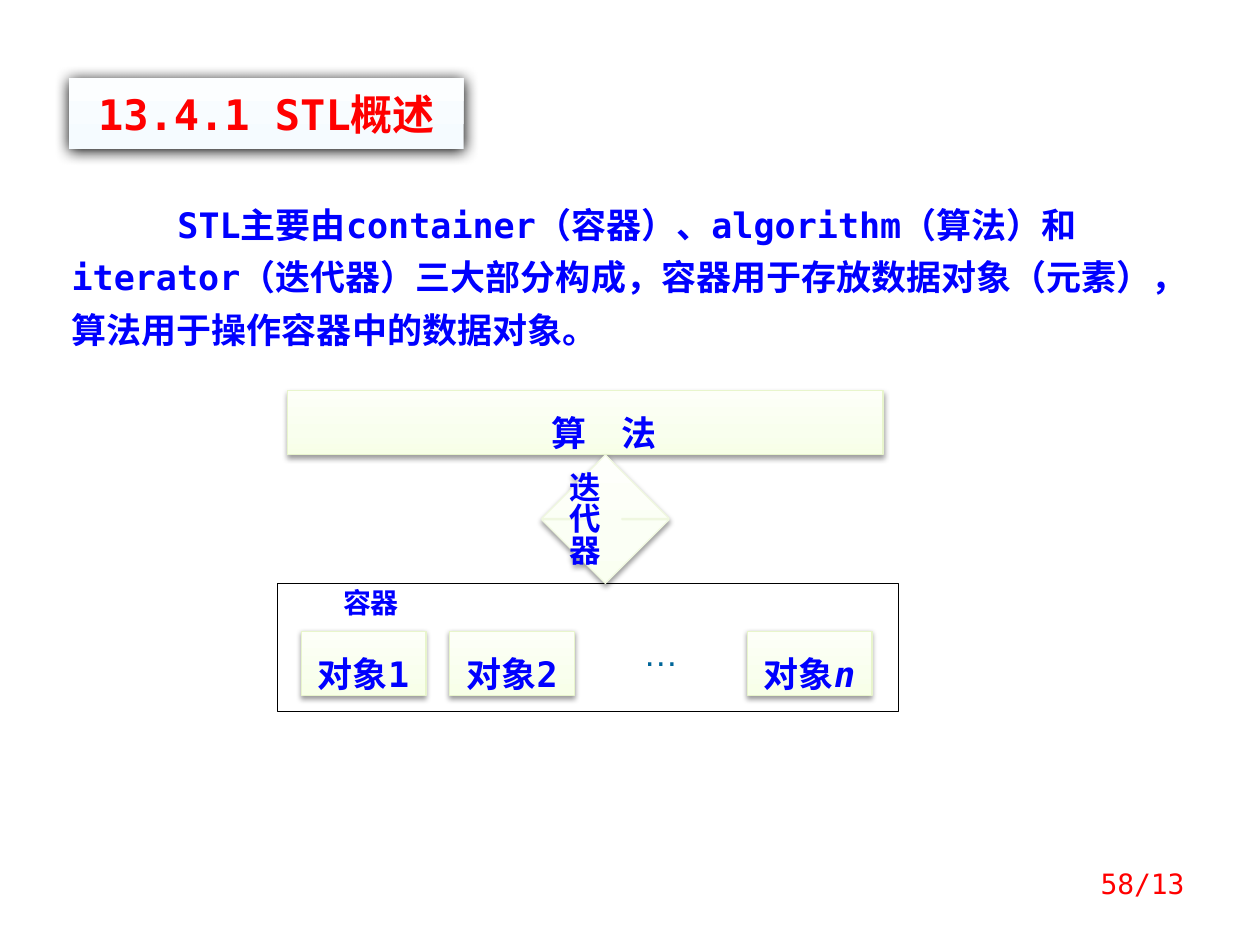
import copy

import pptx
import pptx.dml.color
import pptx.enum.shapes
import pptx.enum.text
import pptx.oxml
import pptx.oxml.ns
import pptx.util
from pptx.util import Inches

SHAPE = pptx.enum.shapes.MSO_SHAPE
ALIGN = pptx.enum.text.PP_ALIGN
MONO = "DejaVu Sans Mono"
RED, BLUE, TEAL, WHITE, BLACK = "FF0000", "0000FF", "006699", "FFFFFF", "000000"
TITLE_TINTS = ("F5FBFF", "F8FCFF", "FCFEFF")
BOX_TINTS = ("F7FFE7", "F9FFEE", "FDFFF8")
ARROW_TINTS = ("FAFFF1", "FBFFF5", "FEFFFB")
SOFT_SHADOW = (38, 3.1, 1.6)


def rgb(value):
    return pptx.dml.color.RGBColor.from_string(value)


def paint(shape, tints, shadow):
    shape.fill.gradient()
    shape.fill.gradient_angle = 90
    stop_list = shape._element.spPr.find(".//" + pptx.oxml.ns.qn("a:gsLst"))
    stop_list.append(copy.deepcopy(stop_list[-1]))
    for stop, position, tint in zip(shape.fill.gradient_stops, (0, 0.35, 1), tints):
        stop.position = position
        stop.color.rgb = rgb(tint)
    opacity, blur, distance = shadow
    effects = shape._element.spPr.find(pptx.oxml.ns.qn("a:effectLst"))
    effects.append(pptx.oxml.parse_xml(
        f'<a:outerShdw {pptx.oxml.ns.nsdecls("a")} blurRad="{pptx.util.Pt(blur)}" '
        f'dist="{pptx.util.Pt(distance)}" dir="5400000" rotWithShape="0">'
        f'<a:srgbClr val="{BLACK}"><a:alpha val="{opacity * 1000}"/></a:srgbClr>'
        '</a:outerShdw>'))


def add_block(shapes, box, kind=SHAPE.RECTANGLE, fill=WHITE, tints=None,
              shadow=SOFT_SHADOW, line=None):
    block = shapes.add_shape(kind, *map(Inches, box))
    block.shadow.inherit = False
    if tints:
        paint(block, tints, shadow)
    else:
        block.fill.solid()
        block.fill.fore_color.rgb = rgb(fill)
    if line:
        block.line.color.rgb = rgb(line)
        block.line.width = pptx.util.Pt(0.75)
    else:
        block.line.fill.background()
    return block


def write(shape, text, size, color=BLUE, font=MONO, bold=True, align=ALIGN.CENTER,
          spacing=None, margins=(0, 0)):
    frame = shape.text_frame
    frame.word_wrap = True
    frame.vertical_anchor = pptx.enum.text.MSO_ANCHOR.TOP
    frame.margin_left = frame.margin_right = Inches(margins[0])
    frame.margin_top = frame.margin_bottom = Inches(margins[1])
    paragraph = frame.paragraphs[0]
    paragraph.text = text
    paragraph.alignment = align
    if spacing:
        paragraph.line_spacing = spacing
    paragraph.font.size = pptx.util.Pt(size)
    paragraph.font.name = font
    paragraph.font.bold = bold
    paragraph.font.color.rgb = rgb(color)
    return paragraph


def add_heading(slide, box):
    heading = add_block(slide.shapes, box, tints=TITLE_TINTS, shadow=(100, 8.5, 1))
    write(heading, "13.4.1 STL概述", 24, RED, margins=(0.1, 0.08))


def add_summary(slide, box):
    summary = slide.shapes.add_textbox(*map(Inches, box))
    paragraph = write(
        summary,
        "STL主要由container（容器）、algorithm（算法）和iterator（迭代器）三大部分构成，"
        "容器用于存放数据对象（元素），算法用于操作容器中的数据对象。",
        20, align=ALIGN.LEFT, spacing=pptx.util.Pt(30), margins=(0.1, 0.05))
    paragraph._p.get_or_add_pPr().set("indent", str(Inches(0.84)))


def add_diagram(slide, box):
    left, top, width, height = box
    shapes = slide.shapes.add_group_shape().shapes
    container_height, bar_height = 1.02, 0.51
    container_top = top + height - container_height
    add_block(shapes, (left, container_top, width, container_height), line=BLACK)

    algorithm = add_block(shapes, (left + 0.08, top, 4.73, bar_height),
                          tints=BOX_TINTS, line="E8F5CC")
    algorithm_text = write(algorithm, "算\u3000法".replace("\u3000", "　"), 20, spacing=1.5)
    algorithm_text._p.get_or_add_pPr().set("indent", str(Inches(0.3)))

    object_pitch, object_width = 1.18, 0.99
    for index, label in enumerate(("对象1", "对象2", "…", "对象")):
        object_box = (left + 0.19 + index * object_pitch, container_top + 0.38,
                      object_width, bar_height)
        if label == "…":
            write(add_block(shapes, object_box), label, 20, TEAL, "Arial", False)
            continue
        item = add_block(shapes, object_box, tints=BOX_TINTS, line="E8F5CC")
        item_text = write(item, label, 20, spacing=1.5)
    subscript = item_text.add_run()
    subscript.text = "n"
    subscript.font.italic = True

    arrow_top = top + bar_height
    iterator = add_block(shapes, (left + 2.1, arrow_top, 1.01, container_top - arrow_top),
                         SHAPE.UP_DOWN_ARROW, tints=ARROW_TINTS, line="EFF7DF")
    iterator.adjustments[0] = 0.5
    iterator.adjustments[1] = 0.26
    write(iterator, "迭代器", 18, spacing=1.5)
    iterator.text_frame._txBody.bodyPr.set("vert", "eaVert")

    caption = add_block(shapes, (left + 0.46, container_top + 0.02, 0.57, 0.25))
    write(caption, "容器", 16)


def add_page_number(slide, box):
    page_number = slide.shapes.add_textbox(*map(Inches, box))
    write(page_number, "58/13", 16, RED, bold=False, align=ALIGN.RIGHT, margins=(0.1, 0.05))


def main():
    presentation = pptx.Presentation()
    presentation.slide_width = Inches(10)
    presentation.slide_height = Inches(7.5)
    slide = presentation.slides.add_slide(presentation.slide_layouts[6])
    add_heading(slide, (0.55, 0.62, 3.13, 0.56))
    add_summary(slide, (0.47, 1.48, 9.14, 1.36))
    add_diagram(slide, (2.2, 3.1, 4.93, 2.55))
    add_page_number(slide, (7.17, 6.83, 2.33, 0.5))
    presentation.save("out.pptx")


if __name__ == "__main__":
    main()
